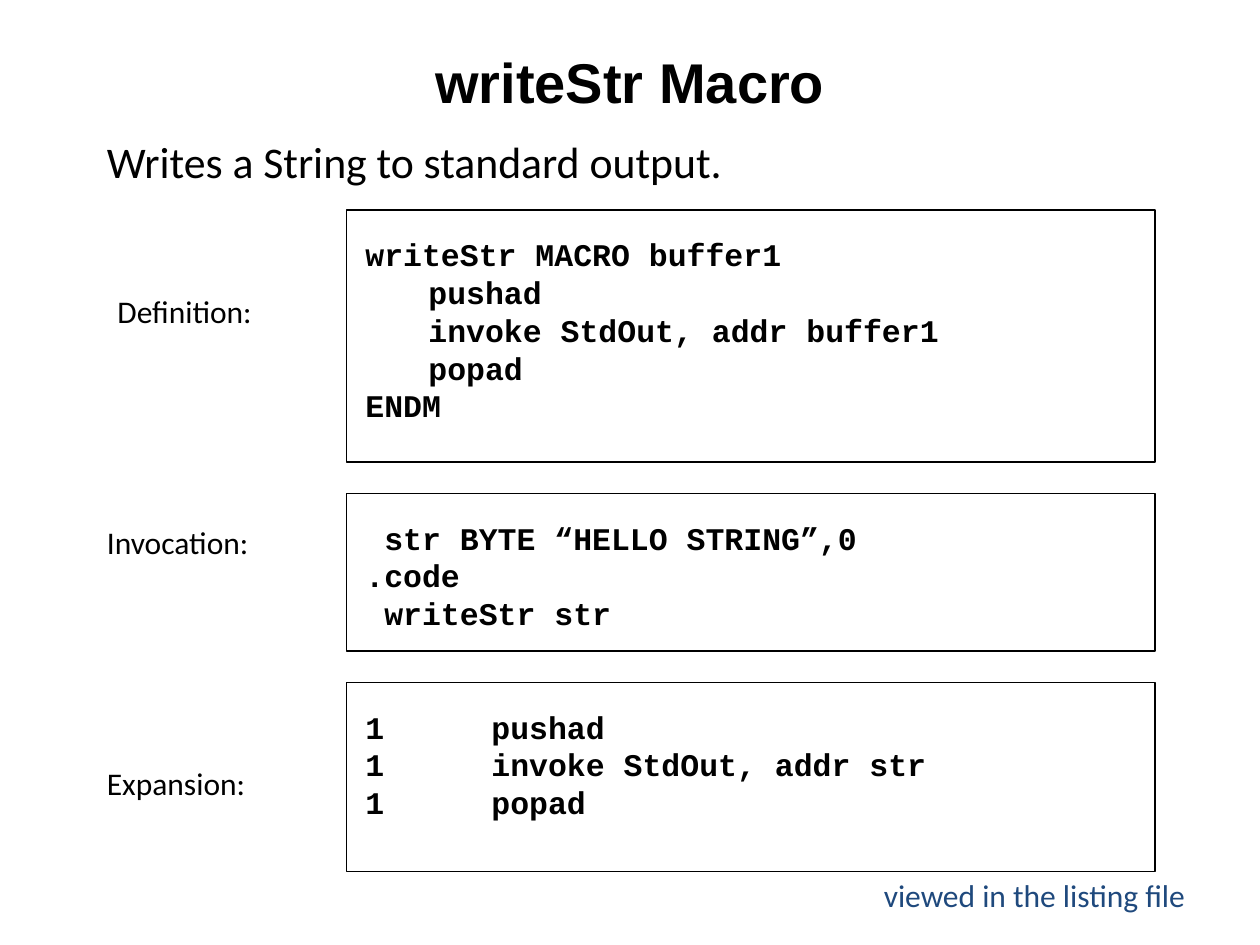
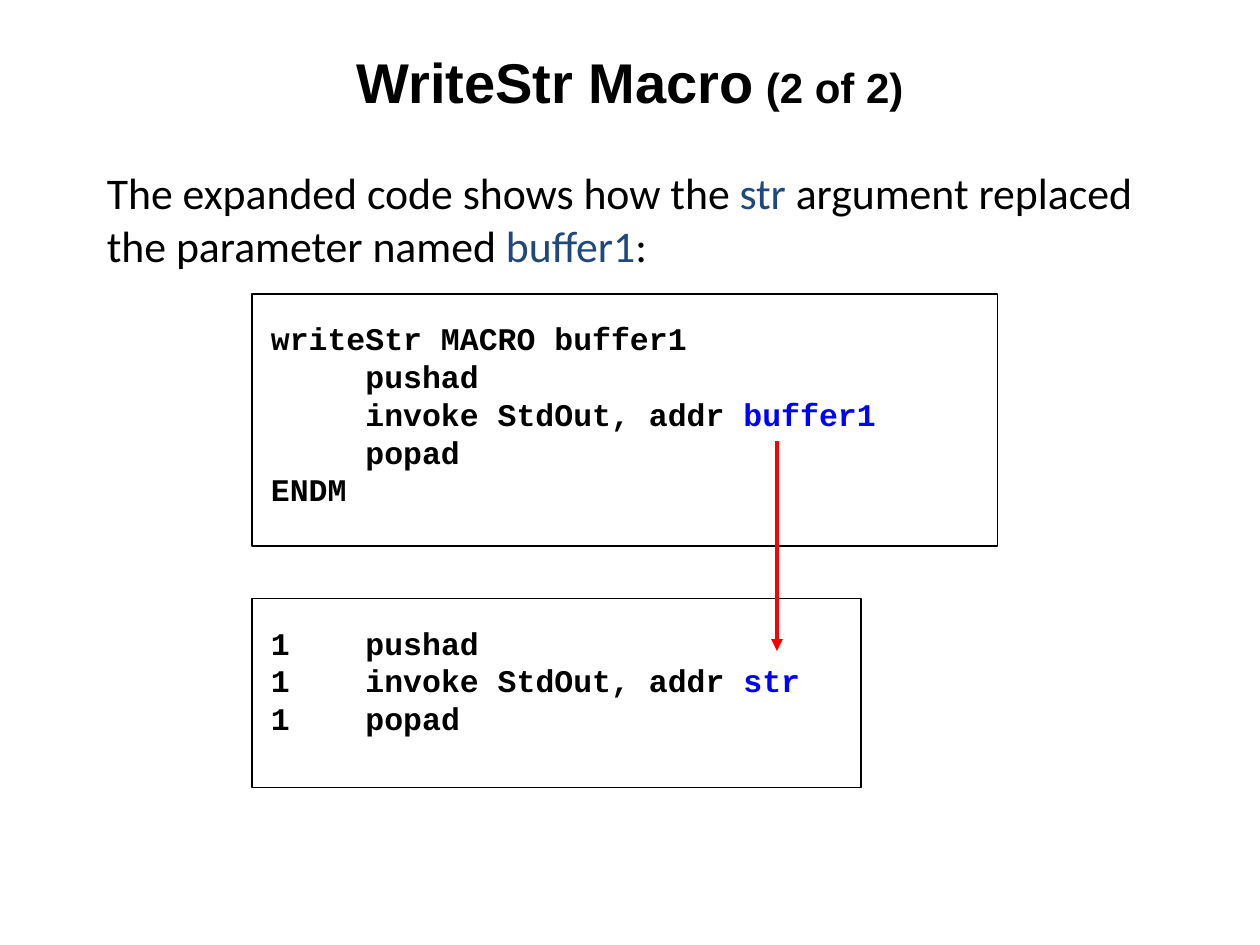
"""Builds two slides that explain the writeStr macro and its expansion."""
from dataclasses import dataclass

from lxml.etree import SubElement
from pptx import Presentation
from pptx.dml.color import RGBColor
from pptx.enum.shapes import MSO_CONNECTOR as Connector, MSO_SHAPE as Shape
from pptx.enum.text import MSO_ANCHOR as Anchor, PP_ALIGN as Align
from pptx.oxml.ns import qn
from pptx.util import Pt


@dataclass(frozen=True)
class Theme:
    ink: str = "000000"
    accent: str = "1F497D"
    argument: str = "0000FF"
    arrow: str = "FF0000"
    heading_font: str = "Arial"
    body_font: str = "Calibri"
    code_font: str = "Courier New"
    title_size: int = 32
    part_size: int = 24
    lead_size: float = 25
    small_size: int = 18
    border: float = 0.75
    arrow_width: float = 2.25


THEME = Theme()
TITLE_AREA = (36, 12, 648, 68.4)
TITLE_INSETS = (7.2, 3.6)
LABEL_INSETS = (7.2, 10.8)
CODE_INSETS = (10.8, 14.4)
LABEL_HEIGHT = 44


def plain(*lines):
    return [[(line, THEME.ink)] for line in lines]


def macro_body(prefix, argument, colour):
    return [
        [(f"{prefix}\tpushad", THEME.ink)],
        [(f"{prefix}\tinvoke StdOut, addr ", THEME.ink), (argument, colour)],
        [(f"{prefix}\tpopad", THEME.ink)],
    ]


def definition(colour):
    body = macro_body("", "buffer1", colour)
    return plain("writeStr MACRO buffer1") + body + plain("ENDM")


INVOCATION = plain(" str BYTE “HELLO STRING”,0", ".code", " writeStr str")

SLIDES = [
    {
        "title": [("writeStr Macro", THEME.title_size)],
        "lead": ((54, 66, 606, 52), [("Writes a String to standard output.", THEME.ink)]),
        "labels": [
            ("Definition:", 60, 156, 126, THEME.ink),
            ("Invocation:", 54, 288, 132, THEME.ink),
            ("Expansion:", 54, 426, 114, THEME.ink),
            ("viewed in the listing file", 498, 489.6, 222, THEME.accent),
        ],
        "code": [
            ((198, 120, 462, 144), 36, definition(THEME.ink)),
            ((198, 282, 462, 90), 72, INVOCATION),
            ((198, 390, 462, 108), 72, macro_body("1", "str", THEME.ink)),
        ],
        "arrows": [],
    },
    {
        "title": [("WriteStr Macro", THEME.title_size), (" (2 of 2)", THEME.part_size)],
        "lead": ((54, 84, 606, 82), [
            ("The expanded code shows how the ", THEME.ink),
            ("str ", THEME.accent),
            ("argument replaced the parameter named ", THEME.ink),
            ("buffer1", THEME.accent),
            (":", THEME.ink),
        ]),
        "labels": [],
        "code": [
            ((144, 168, 426, 144), 54, definition(THEME.argument)),
            ((144, 342, 348, 108), 54, macro_body("1", "str", THEME.argument)),
        ],
        "arrows": [(444, 252, 444, 372)],
    },
]


def points(values):
    return [Pt(value) for value in values]


def prepare_frame(box, insets, anchor=Anchor.TOP):
    frame = box.text_frame
    frame.word_wrap = True
    frame.vertical_anchor = anchor
    across, down = points(insets)
    frame.margin_left = frame.margin_right = across
    frame.margin_top = frame.margin_bottom = down
    return frame


def add_span(para, text, font, size, colour, bold=False):
    span = para.add_run()
    span.text = text
    span.font.name = font
    span.font.size = Pt(size)
    span.font.bold = bold
    span.font.color.rgb = RGBColor.from_string(colour)


def set_tab(para, position):
    tabs = SubElement(para._p.get_or_add_pPr(), qn("a:tabLst"))
    SubElement(tabs, qn("a:tab"), pos=str(int(Pt(position))), algn="l")


def add_title(page, spans):
    box = page.shapes.add_textbox(*points(TITLE_AREA))
    para = prepare_frame(box, TITLE_INSETS, Anchor.MIDDLE).paragraphs[0]
    para.alignment = Align.CENTER
    for text, size in spans:
        add_span(para, text, THEME.heading_font, size, THEME.ink, bold=True)


def add_body_text(page, area, spans, size):
    box = page.shapes.add_textbox(*points(area))
    para = prepare_frame(box, LABEL_INSETS).paragraphs[0]
    for text, colour in spans:
        add_span(para, text, THEME.body_font, size, colour)


def add_code(page, area, tab, lines):
    box = page.shapes.add_shape(Shape.RECTANGLE, *points(area))
    box.shadow.inherit = False
    box.fill.background()
    box.line.color.rgb = RGBColor.from_string(THEME.ink)
    box.line.width = Pt(THEME.border)
    frame = prepare_frame(box, CODE_INSETS)
    for number, spans in enumerate(lines):
        para = frame.add_paragraph() if number else frame.paragraphs[0]
        para.alignment = Align.LEFT
        set_tab(para, tab)
        for text, colour in spans:
            add_span(para, text, THEME.code_font, THEME.small_size, colour, bold=True)


def add_arrow(page, ends):
    arrow = page.shapes.add_connector(Connector.STRAIGHT, *points(ends))
    arrow.line.color.rgb = RGBColor.from_string(THEME.arrow)
    arrow.line.width = Pt(THEME.arrow_width)
    SubElement(arrow.line._get_or_add_ln(), qn("a:tailEnd"), type="triangle")
    SubElement(arrow._element.spPr, qn("a:effectLst"))


def build_page(deck, content):
    page = deck.slides.add_slide(deck.slide_layouts[6])
    add_title(page, content["title"])
    area, spans = content["lead"]
    add_body_text(page, area, spans, THEME.lead_size)
    for block in content["code"]:
        add_code(page, *block)
    for text, left, top, width, colour in content["labels"]:
        area = (left, top, width, LABEL_HEIGHT)
        add_body_text(page, area, [(text, colour)], THEME.small_size)
    for ends in content["arrows"]:
        add_arrow(page, ends)


deck = Presentation()
deck.slide_width, deck.slide_height = Pt(720), Pt(540)
for content in SLIDES:
    build_page(deck, content)
deck.save("out.pptx")
